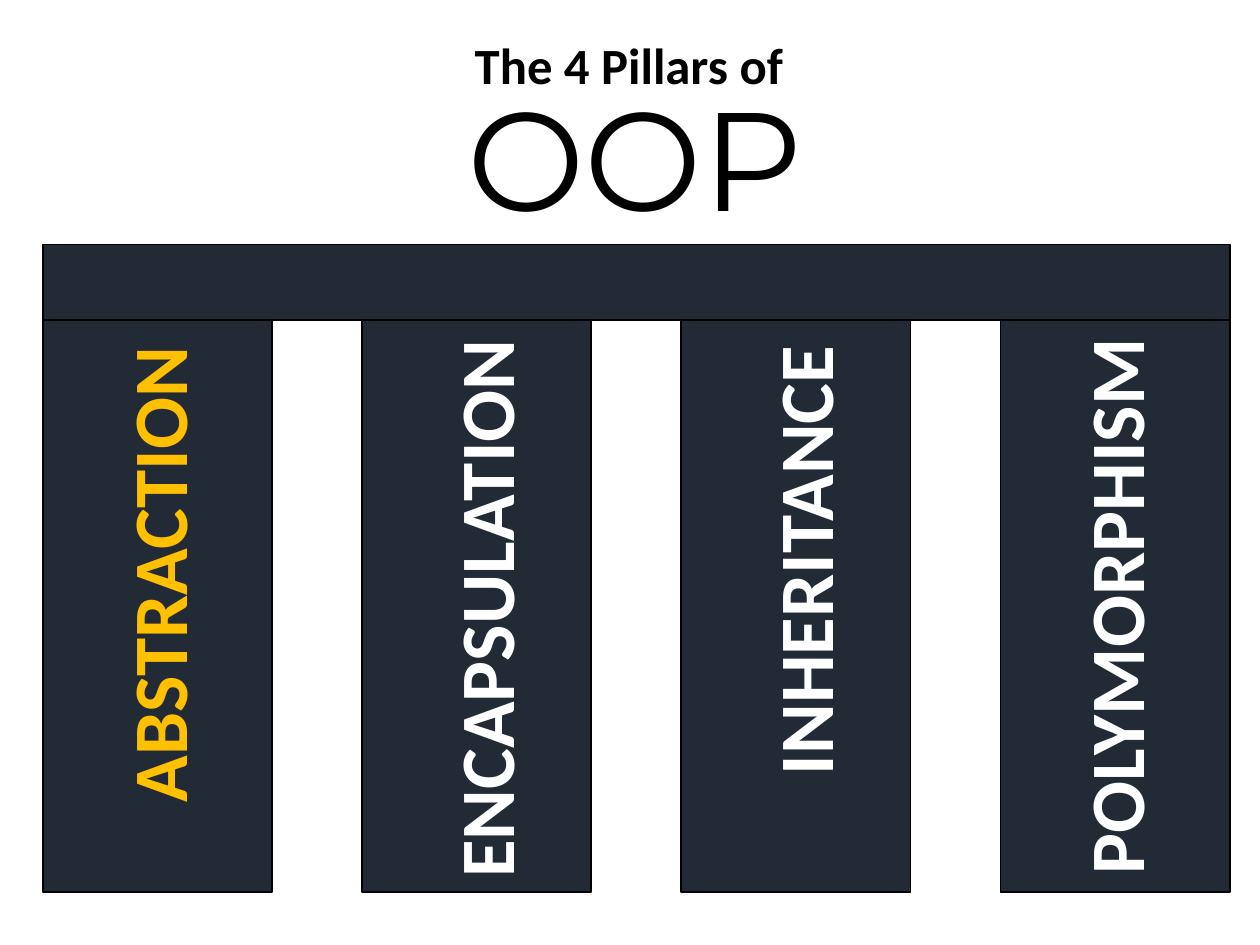
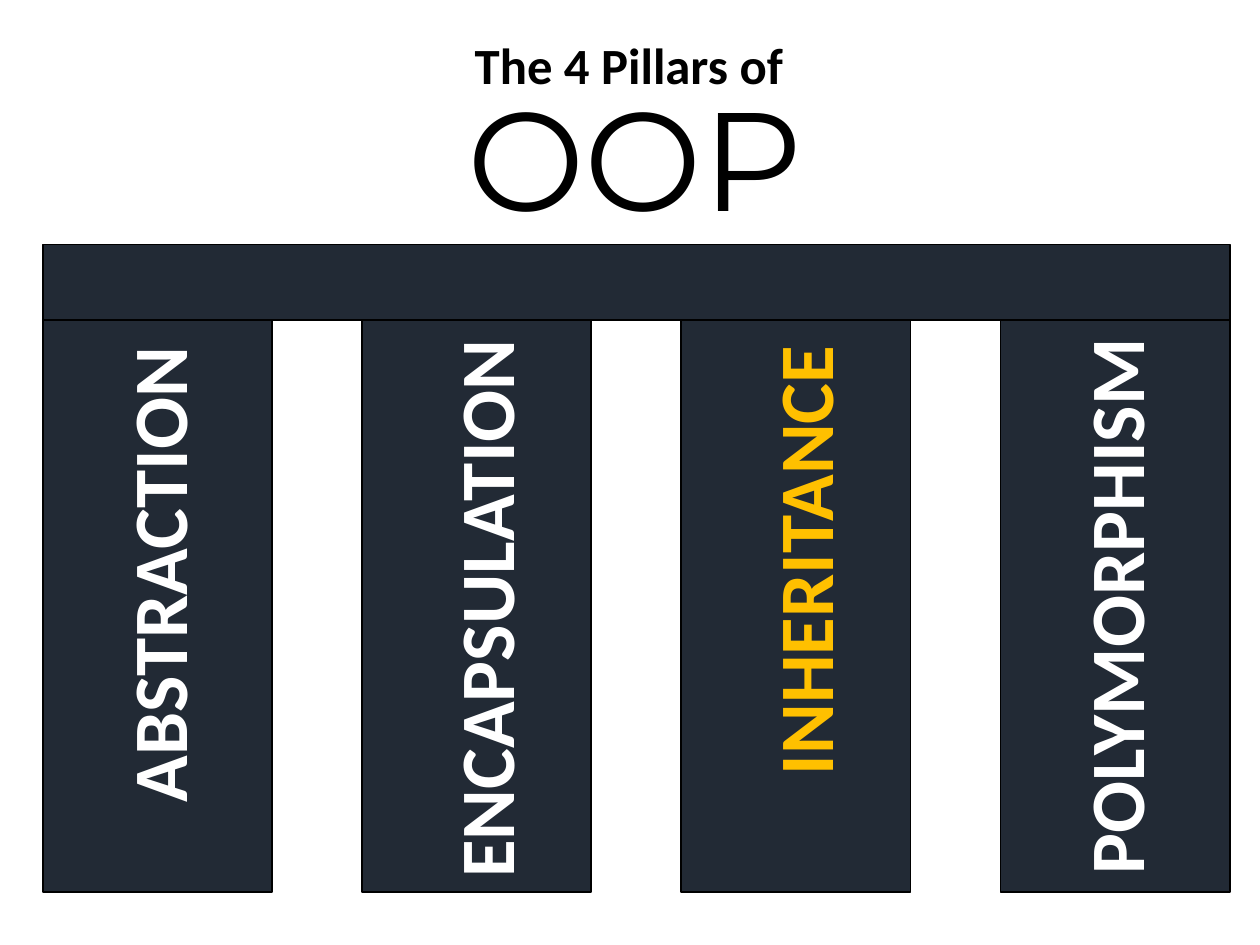
from pptx import Presentation
from pptx.dml.color import RGBColor
from pptx.enum.shapes import MSO_SHAPE
from pptx.enum.text import MSO_AUTO_SIZE, PP_ALIGN
from pptx.util import Pt

RECTANGLE = MSO_SHAPE.RECTANGLE
FIT_SHAPE = MSO_AUTO_SIZE.SHAPE_TO_FIT_TEXT
LEFT, JUSTIFY = PP_ALIGN.LEFT, PP_ALIGN.JUSTIFY

STONE, BLACK, WHITE, HIGHLIGHT = "222A35", "000000", "FFFFFF", "FFC000"
LABEL_HEIGHT = 60.5

# Name, label length, label shift from the pillar's centre line and from its top
PILLARS = [
    ("ABSTRACTION", 277.2, -0.3, 5.4),
    ("ENCAPSULATION", 324.7, 4.5, 1.1),
    ("INHERITANCE", 262.1, 4.3, 5.0),
    ("POLYMORPHISM", 323.3, -0.4, 0.4),
]


def color(hex_code):
    return RGBColor.from_string(hex_code)


def add_text(shapes, text, left, top, width, height, *, size, font="Calibri",
             fill=BLACK, bold=False, align=LEFT, rotation=0):
    box = shapes.add_textbox(Pt(left), Pt(top), Pt(width), Pt(height))
    box.rotation = rotation
    frame = box.text_frame
    frame.word_wrap = False
    frame.auto_size = FIT_SHAPE
    paragraph = frame.paragraphs[0]
    paragraph.alignment = align
    run = paragraph.add_run()
    run.text = text
    run.font.name = font
    run.font.size = Pt(size)
    run.font.bold = bold
    run.font.color.rgb = color(fill)


def add_block(slide, left, top, width, height):
    block = slide.shapes.add_shape(RECTANGLE, Pt(left), Pt(top), Pt(width), Pt(height))
    block.shadow.inherit = False
    block.fill.solid()
    block.fill.fore_color.rgb = color(STONE)
    block.line.color.rgb = color(BLACK)
    block.line.width = Pt(1)


def add_heading(slide, left, top):
    heading = slide.shapes.add_group_shape().shapes
    add_text(heading, "OOP", left, top + 21.6, 207.4, 104.4,
             size=80, font="Montserrat", align=JUSTIFY)
    add_text(heading, "The 4 Pillars of", left + 4.3, top, 198.7, 43.9,
             size=29, bold=True)


def add_temple(slide, left, top, width, height, highlighted,
               lintel_height=43.2, pillar_width=131):
    # Lintel across the full width
    add_block(slide, left, top, width, lintel_height)

    # Evenly spaced pillars below it
    pillar_top = top + lintel_height
    step = (width - pillar_width) / (len(PILLARS) - 1)
    pillar_lefts = [left + i * step for i in range(len(PILLARS))]
    for pillar_left in pillar_lefts:
        add_block(slide, pillar_left, pillar_top, pillar_width, height - lintel_height)

    # Labels reading upwards, each rotated about its centre
    for pillar_left, (name, length, shift_x, shift_y) in zip(pillar_lefts, PILLARS):
        center_x = pillar_left + pillar_width / 2 + shift_x
        center_y = pillar_top + shift_y + length / 2
        add_text(slide.shapes, name, center_x - length / 2, center_y - LABEL_HEIGHT / 2,
                 length, LABEL_HEIGHT, size=44, bold=True, rotation=270,
                 fill=HIGHLIGHT if name == highlighted else WHITE)


def add_pillars_slide(deck, highlighted):
    slide = deck.slides.add_slide(deck.slide_layouts[6])
    add_temple(slide, 24.5, 139.7, 678.2, 370.1, highlighted)
    add_heading(slide, 259.9, 15.8)


def main():
    deck = Presentation()
    deck.slide_width, deck.slide_height = Pt(720), Pt(540)
    for highlighted in ("ABSTRACTION", "INHERITANCE"):
        add_pillars_slide(deck, highlighted)
    deck.save("out.pptx")


if __name__ == "__main__":
    main()
